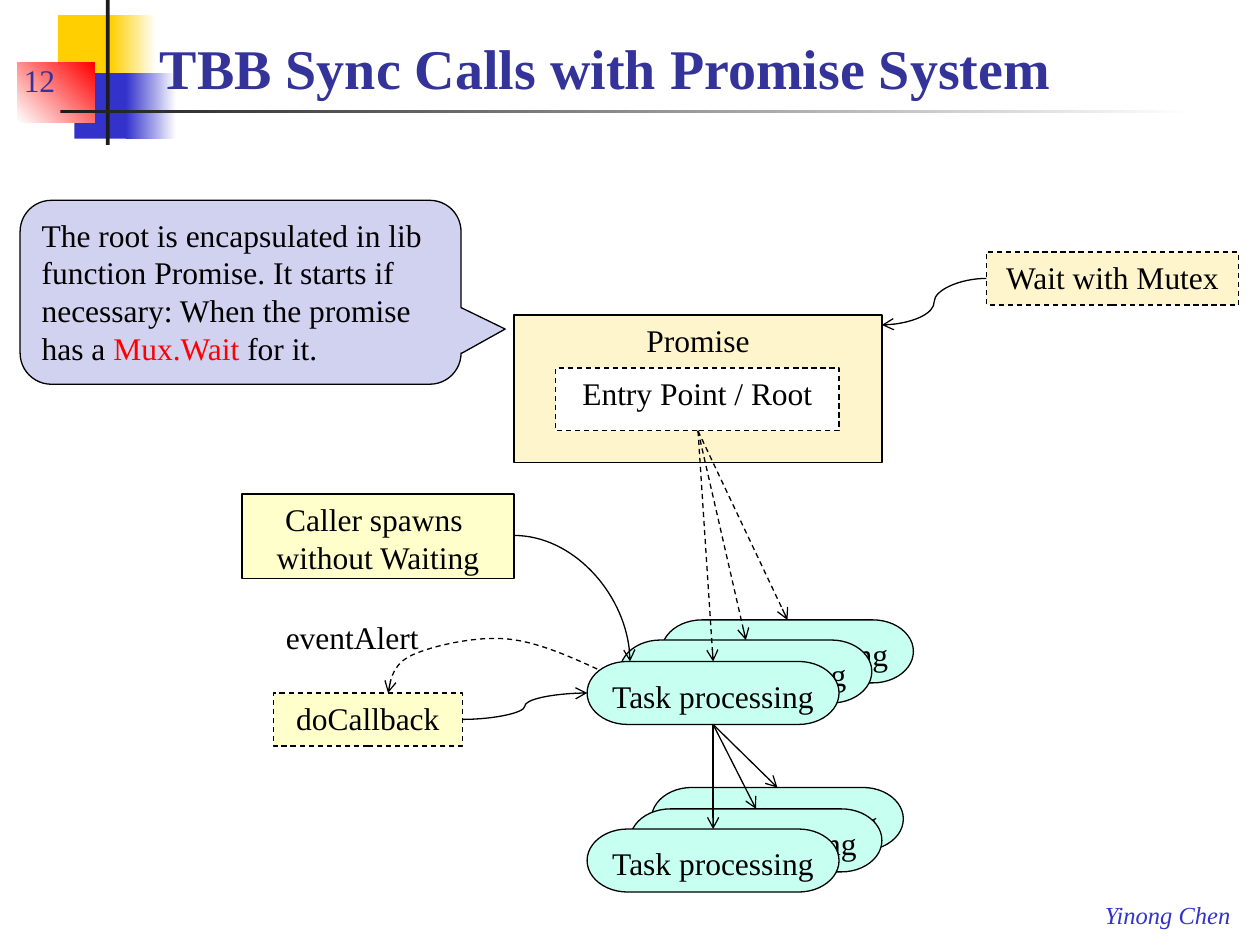
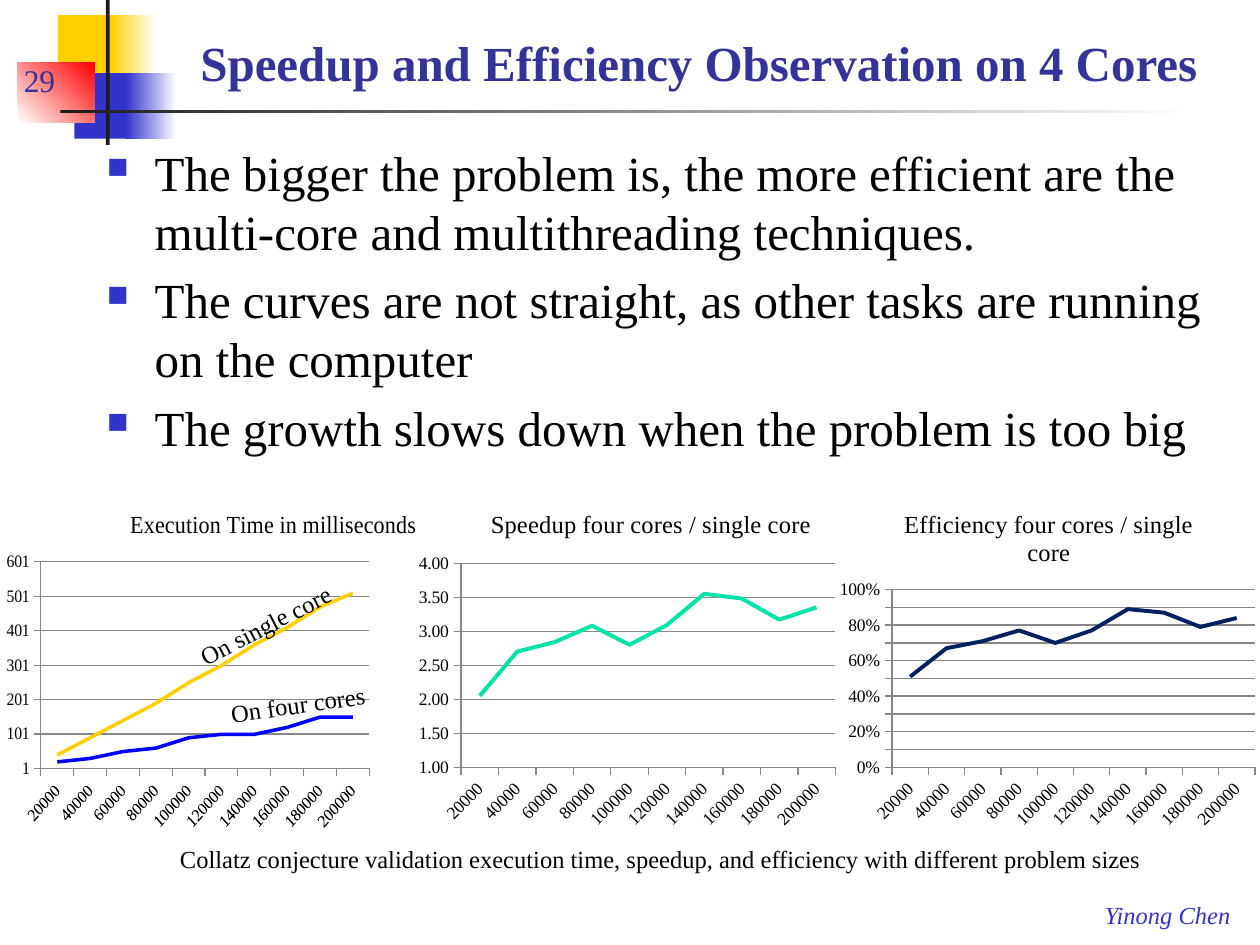
from dataclasses import dataclass
from typing import Any, NamedTuple, Optional

from lxml.etree import SubElement
from pptx import Presentation
from pptx.chart.data import CategoryChartData
from pptx.dml.color import RGBColor
from pptx.enum.chart import XL_CHART_TYPE, XL_TICK_MARK
from pptx.enum.dml import MSO_LINE
from pptx.enum.shapes import MSO_CONNECTOR, MSO_SHAPE
from pptx.enum.text import MSO_ANCHOR, PP_ALIGN
from pptx.oxml.ns import qn
from pptx.util import Inches, Pt


@dataclass(frozen=True)
class Theme:
    font: str = "Times New Roman"
    black: str = "000000"
    white: str = "FFFFFF"
    ink: str = "1C1C1C"
    gold: str = "FFCF01"
    blue: str = "3333CC"
    head: str = "333399"
    red: str = "FF0000"
    cream: str = "FFF5CC"
    lemon: str = "FFFFCC"
    mint: str = "C7FFF0"
    lilac: str = "D1D1F0"
    green: str = "00E4A8"
    navy: str = "002060"
    pure: str = "0000FF"
    grid: str = "878787"
    big: int = 32
    mid: int = 28
    base: int = 18
    small: int = 14
    tiny: int = 10


T = Theme()


class Box(NamedTuple):
    x: float
    y: float
    w: float
    h: float


class Band(NamedTuple):
    box: Box
    start: str
    end: Optional[str] = None
    angle: int = 0


class Node(NamedTuple):
    box: Box
    fill: str
    lines: tuple = ()
    dash: bool = False
    kind: Any = MSO_SHAPE.RECTANGLE


class Link(NamedTuple):
    start: tuple
    end: tuple
    dash: bool = False
    kind: Any = MSO_CONNECTOR.STRAIGHT


class Graph(NamedTuple):
    title: str
    box: Box
    plot: Box
    spot: tuple
    low: float
    high: float
    step: float
    form: str
    rows: tuple


BANDS = (
    Band(Box(0.46, 0.12, 0.48, 0.52), T.gold),
    Band(Box(0.88, 0.12, 0.36, 0.52), T.gold, T.white),
    Band(Box(0.59, 0.58, 0.46, 0.52), T.blue),
    Band(Box(1, 0.58, 0.4, 0.52), T.blue, T.white),
    Band(Box(0.14, 0.5, 0.61, 0.47), T.white, T.red, 45),
    Band(Box(0.84, 0, 0.03, 1.15), T.ink),
    Band(Box(0.48, 0.87, 9, 0.03), T.ink, T.white),
)


def rgb(tint: str) -> RGBColor:
    return RGBColor.from_string(tint)


def put(item: Any, form: dict) -> None:
    for key, val in form.items():
        setattr(item, key, val)


def ink(font: Any, size: float, tint: str, **more: Any) -> None:
    put(font, {"name": T.font, "size": Pt(size), **more})
    font.color.rgb = rgb(tint)


def frame(box: Box) -> list:
    return [Inches(n) for n in box]


def write(slide: Any, box: Box, text: str, size: int = T.base, tint: str = T.black,
          form: Optional[dict] = None, align: Any = PP_ALIGN.LEFT, turn: float = 0,
          **more: Any) -> None:
    area = slide.shapes.add_textbox(*frame(box))
    area.rotation = turn
    put(area.text_frame, {"word_wrap": False, **(form or {})})
    para = area.text_frame.paragraphs[0]
    para.alignment = align
    run = para.add_run()
    run.text = text
    ink(run.font, size, tint, **more)


def stroke(item: Any, dash: bool, arrow: bool) -> None:
    item.line.width = Pt(0.75)
    item.line.color.rgb = rgb(T.black)
    if dash:
        item.line.dash_style = MSO_LINE.DASH
    if arrow:
        SubElement(item.line._get_or_add_ln(), qn("a:tailEnd"), type="arrow")


def band(slide: Any, part: Band) -> None:
    item = slide.shapes.add_shape(MSO_SHAPE.RECTANGLE, *frame(part.box))
    item.shadow.inherit = False
    item.line.fill.background()
    if part.end is None:
        item.fill.solid()
        item.fill.fore_color.rgb = rgb(part.start)
        return
    item.fill.gradient()
    item.fill.gradient_angle = part.angle
    for stop, tint in zip(item.fill.gradient_stops, (part.start, part.end)):
        stop.color.rgb = rgb(tint)


def node(slide: Any, part: Node) -> Any:
    item = slide.shapes.add_shape(part.kind, *frame(part.box))
    item.shadow.inherit = False
    item.fill.solid()
    item.fill.fore_color.rgb = rgb(part.fill)
    stroke(item, part.dash, False)
    text = item.text_frame
    put(text, {"word_wrap": False, "vertical_anchor": MSO_ANCHOR.TOP})
    for i, line in enumerate(part.lines):
        para = text.add_paragraph() if i else text.paragraphs[0]
        para.alignment = PP_ALIGN.CENTER
        run = para.add_run()
        run.text = line
        ink(run.font, T.base, T.black)
    return item


def link(slide: Any, part: Link) -> Any:
    item = slide.shapes.add_connector(part.kind, *frame(part.start + part.end))
    stroke(item, part.dash, True)
    SubElement(item._element.spPr, qn("a:effectLst"))
    return item


def stack(slide: Any, spots: tuple) -> None:
    for x, y in spots:
        node(slide, Node(Box(x, y, 2, 0.5), T.mint, ("Task processing",),
                         kind=MSO_SHAPE.FLOWCHART_TERMINATOR))


def bend(slide: Any, start: tuple, curves: tuple, steps: int = 12) -> None:
    points, last = [], start
    for a, b, c in curves:
        for t in (n / steps for n in range(1, steps + 1)):
            u = 1 - t
            points.append(tuple(
                Inches(u ** 3 * p + 3 * u * u * t * q + 3 * u * t * t * r + t ** 3 * s)
                for p, q, r, s in zip(last, a, b, c)))
        last = c
    pen = slide.shapes.build_freeform(Inches(start[0]), Inches(start[1]))
    pen.add_line_segments(points, close=False)
    item = pen.convert_to_shape()
    item.shadow.inherit = False
    item.fill.background()
    stroke(item, True, True)


def base(deck: Any, title: str, top: float, size: int, align: Any, page: str) -> Any:
    slide = deck.slides.add_slide(deck.slide_layouts[6])
    for part in BANDS:
        band(slide, part)
    write(slide, Box(8.67, 7.09, 1.2, 0.34), "Yinong Chen", T.small, T.blue, italic=True)
    form = {"word_wrap": True, "vertical_anchor": MSO_ANCHOR.BOTTOM}
    write(slide, Box(1.17, top, 8.75, 0.68), title, size, T.head, form, align, bold=True)
    write(slide, Box(0.09, 0.33, 0.85, 0.5), page, T.base, T.head, form)
    return slide


def layout(host: Any, index: int, vals: dict, inner: bool = False) -> None:
    old = host.find(qn("c:layout"))
    if old is not None:
        host.remove(old)
    lay = SubElement(host, qn("c:layout"))
    host.insert(index, lay)
    man = SubElement(lay, qn("c:manualLayout"))
    if inner:
        SubElement(man, qn("c:layoutTarget"), val="inner")
    for key in ("xMode", "yMode"):
        SubElement(man, qn(f"c:{key}"), val="edge")
    for key, val in vals.items():
        SubElement(man, qn(f"c:{key}"), val=f"{val:.4f}")


def graph(slide: Any, part: Graph) -> None:
    data = CategoryChartData()
    data.categories = [str(n) for n in range(20000, 200001, 20000)]
    for i, (_, vals) in enumerate(part.rows, 1):
        data.add_series(f"Series {i}", vals)
    chart = slide.shapes.add_chart(XL_CHART_TYPE.LINE, *frame(part.box), data).chart
    put(chart, {"has_legend": False, "has_title": True})
    ink(chart.font, T.tiny, T.black)
    run = chart.chart_title.text_frame.paragraphs[0].add_run()
    run.text = part.title
    ink(run.font, T.small, T.black, bold=False)
    box, plot = part.box, part.plot
    layout(chart.chart_title._element, 1, {
        "x": (part.spot[0] - box.x) / box.w, "y": (part.spot[1] - box.y) / box.h})
    layout(chart._chartSpace.chart.plotArea, 0, {
        "x": (plot.x - box.x) / box.w, "y": (plot.y - box.y) / box.h,
        "w": plot.w / box.w, "h": plot.h / box.h}, True)
    side, foot = chart.value_axis, chart.category_axis
    put(side, {"minimum_scale": part.low, "maximum_scale": part.high,
               "major_unit": part.step, "has_major_gridlines": True})
    put(side.tick_labels, {"number_format": part.form, "number_format_is_linked": False})
    for axis in (side, foot):
        axis.major_tick_mark = XL_TICK_MARK.OUTSIDE
        ink(axis.tick_labels.font, T.tiny, T.black)
    for item in (side.format, foot.format, side.major_gridlines.format):
        item.line.width = Pt(0.75)
        item.line.color.rgb = rgb(T.grid)
    foot._element.find(qn("c:txPr")).find(qn("a:bodyPr")).set("rot", "-2700000")
    chart.plots[0].vary_by_categories = False
    for row, (tint, _) in zip(chart.plots[0].series, part.rows):
        row.smooth = False
        row.format.line.width = Pt(2.25)
        row.format.line.color.rgb = rgb(tint)


def tasks(deck: Any) -> None:
    slide = base(deck, "TBB Sync Calls with Promise System", 0.17, T.big, PP_ALIGN.LEFT, "12")
    root, fork, curve = (5.54, 3.42), (5.66, 5.75), MSO_CONNECTOR.CURVE
    node(slide, Node(Box(4.08, 2.5, 2.92, 1.17), T.cream, ("Promise",)))
    link(slide, Link(fork, (6.17, 6.25)))
    node(slide, Node(Box(4.41, 2.92, 2.25, 0.5), T.white, ("Entry Point / Root",), True))
    node(slide, Node(Box(1.92, 3.92, 2.16, 0.67), T.lemon, ("Caller spawns ", "without Waiting")))
    stack(slide, ((5.25, 4.92), (4.92, 5.08), (4.66, 5.25)))
    for end in ((5.66, 5.25), (6.25, 4.92), (5.92, 5.08)):
        link(slide, Link(root, end, True))
    stack(slide, ((5.17, 6.25), (5, 6.42), (4.66, 6.58)))
    for end in ((5.66, 6.58), (6, 6.42)):
        link(slide, Link(fork, end))
    spawn = link(slide, Link((4.08, 4.25), (5, 5.25), kind=curve))
    spawn._element.spPr.find(qn("a:prstGeom")).set("prst", "curvedConnector2")
    node(slide, Node(Box(2.17, 5.5, 1.5, 0.42), T.lemon, ("doCallback",), True))
    link(slide, Link((3.67, 5.71), (4.66, 5.5), kind=curve))
    node(slide, Node(Box(7.83, 2, 2, 0.42), T.cream, ("Wait with Mutex",), True))
    link(slide, Link((7.83, 2.21), (7, 2.58), kind=curve))
    note = node(slide, Node(Box(0.16, 1.59, 3.5, 1.46), T.lilac,
                            kind=MSO_SHAPE.ROUNDED_RECTANGULAR_CALLOUT))
    for i, val in enumerate((0.6, 0.2, 0.17)):
        note.adjustments[i] = val
    note.text_frame.word_wrap = True
    para = note.text_frame.paragraphs[0]
    para.alignment = PP_ALIGN.LEFT
    for text, tint in (("The root is encapsulated in lib function Promise. It starts if "
                        "necessary: When the promise has a ", T.black),
                       ("Mux.Wait ", T.red), ("for it.", T.black)):
        run = para.add_run()
        run.text = text
        ink(run.font, T.base, tint)
    write(slide, Box(2.17, 4.86, 1.27, 0.4), "eventAlert")
    bend(slide, (4.74, 5.31), (
        ((4.5, 5.2), (4.25, 5.09), (4.01, 5.07)),
        ((3.76, 5.05), (3.42, 5.13), (3.27, 5.2)),
        ((3.12, 5.27), (3.1, 5.39), (3.08, 5.5))))


def speed(deck: Any) -> None:
    slide = base(deck, "Speedup and Efficiency Observation on 4 Cores", 0.09, T.mid,
                 PP_ALIGN.CENTER, "29")
    text = slide.shapes.add_textbox(*frame(Box(0.75, 1.08, 9.04, 2.58))).text_frame
    text.word_wrap = True
    dent = Inches(0.38)
    for i, line in enumerate((
            "The bigger the problem is, the more efficient are the multi-core and "
            "multithreading techniques.",
            "The curves are not straight, as other tasks are running on the computer",
            "The growth slows down when the problem is too big")):
        para = text.add_paragraph() if i else text.paragraphs[0]
        props = para._p.get_or_add_pPr()
        props.set("marL", str(dent))
        props.set("indent", str(-dent))
        if i:
            para.space_before = Pt(5.6)
        SubElement(SubElement(props, qn("a:buClr")), qn("a:srgbClr"), val=T.blue)
        SubElement(props, qn("a:buSzPct"), val="60000")
        SubElement(props, qn("a:buFont"), typeface="Wingdings", charset="2")
        SubElement(props, qn("a:buChar"), char="n")
        run = para.add_run()
        run.text = line
        ink(run.font, T.mid, T.black)
    write(slide, Box(1.33, 6.65, 7.89, 0.34), "Collatz conjecture validation execution time, "
          "speedup, and efficiency with different problem sizes", T.small)
    for part in (
        Graph("Speedup four cores / single core", Box(3.25, 3.9, 3.44, 2.75),
              Box(3.66, 4.47, 2.97, 1.62), (3.86, 4), 1, 4, 0.5, "0.00",
              ((T.green, (2.05, 2.7, 2.84, 3.08, 2.8, 3.09, 3.55, 3.48, 3.17, 3.35)),)),
        Graph("Efficiency four cores / single core", Box(6.6, 3.9, 3.42, 2.75),
              Box(7.08, 4.68, 2.88, 1.41), (7.14, 4), 0, 1, 0.1, "0%",
              ((T.navy, (0.51, 0.67, 0.71, 0.77, 0.7, 0.77, 0.89, 0.87, 0.79, 0.84)),)),
        Graph("Execution Time in milliseconds", Box(0, 3.9, 3.34, 2.75),
              Box(0.36, 4.46, 2.89, 1.64), (1.11, 4), 1, 601, 100, "General",
              ((T.gold, (40, 90, 140, 190, 250, 300, 360, 410, 470, 510)),
               (T.pure, (20, 30, 50, 60, 90, 100, 100, 120, 150, 150)))),
    ):
        graph(slide, part)
    write(slide, Box(1.44, 4.79, 1.35, 0.34), "On single core", T.small, turn=332.6)
    write(slide, Box(1.73, 5.42, 1.28, 0.34), "On four cores", T.small, turn=352)


def main() -> None:
    deck = Presentation()
    put(deck, {"slide_width": Inches(10), "slide_height": Inches(7.5)})
    tasks(deck)
    speed(deck)
    deck.save("out.pptx")


if __name__ == "__main__":
    main()
